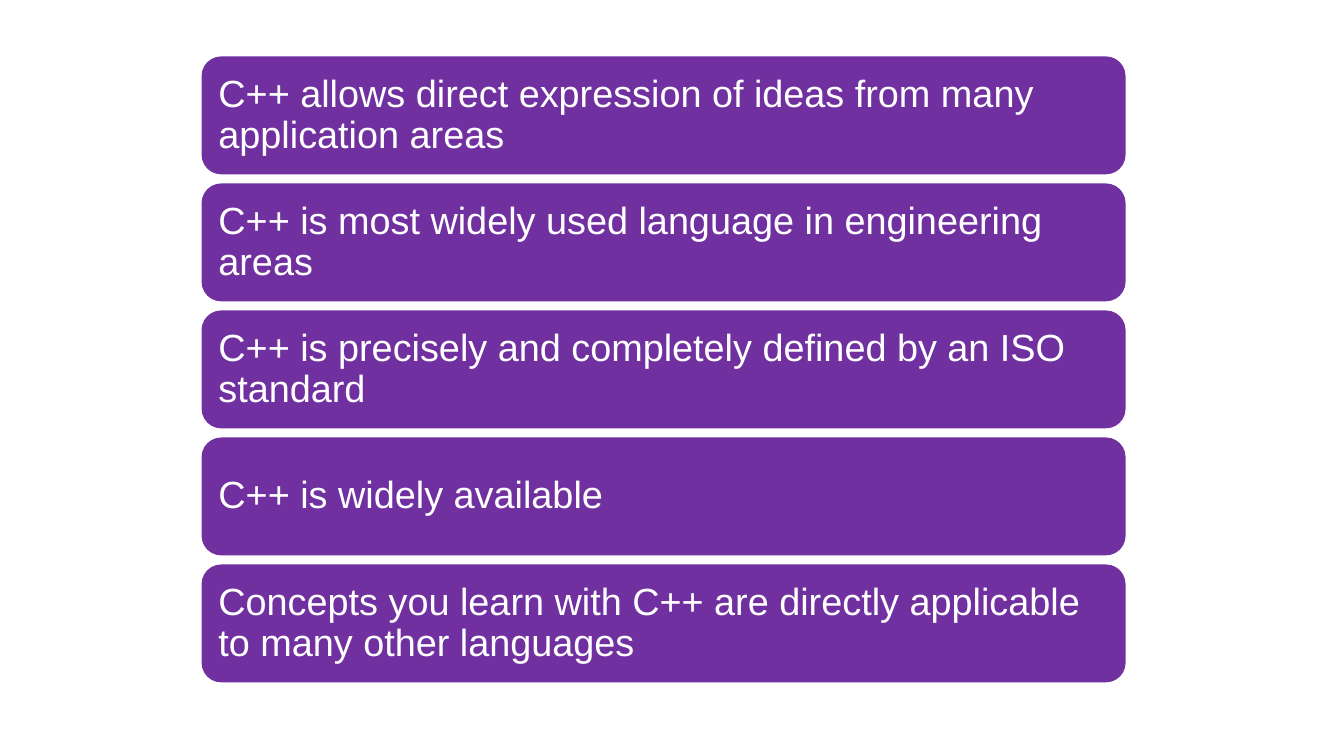
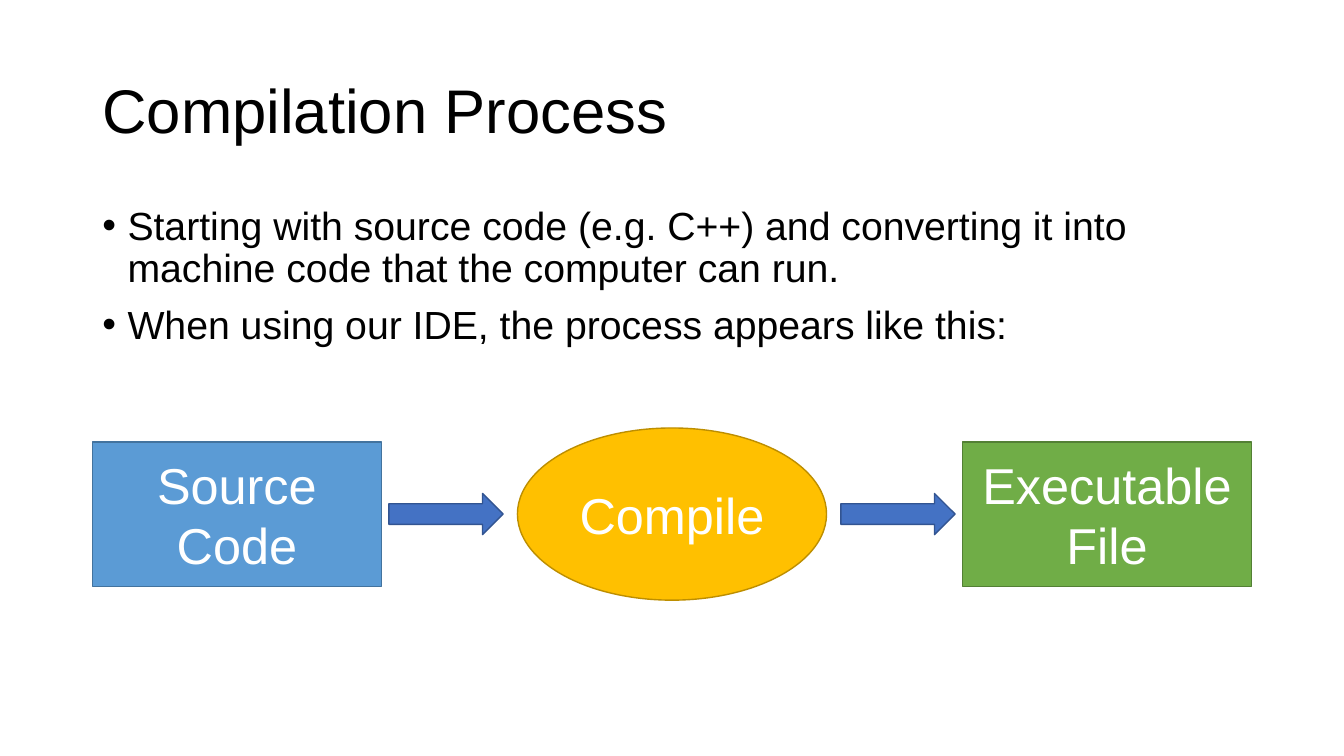
"""Build two slides on why C++ is used and how it is compiled."""
from dataclasses import dataclass

from lxml import etree
from pptx import Presentation
from pptx import util as u
from pptx.dml.color import RGBColor
from pptx.enum import shapes, text
from pptx.oxml.ns import qn

KIND = shapes.MSO_SHAPE
ALIGN = text.PP_ALIGN
ANCHOR = text.MSO_ANCHOR


@dataclass(frozen=True)
class Theme:
    font: str = "Arial"
    ink: str = "000000"
    paper: str = "FFFFFF"
    card: str = "7030A0"
    source: tuple = ("5B9BD5", "43739E")
    compiler: tuple = ("FFC000", "BD8E00")
    result: tuple = ("70AD47", "538035")
    arrow: tuple = ("4472C4", "325491")
    title_size: int = 44
    step_size: int = 36
    body_size: int = 28
    card_size: int = 27
    tight: float = 0.9


class Sketch:
    columns, rows = 160, 90

    def __init__(self, deck, theme):
        self.deck, self.theme = deck, theme
        deck.slide_width, deck.slide_height = u.Inches(13.33), u.Inches(7.5)
        self.page = None

    def new_page(self):
        self.page = self.deck.slides.add_slide(self.deck.slide_layouts[6])

    def place(self, left, top, width, height):
        across = self.deck.slide_width / self.columns
        down = self.deck.slide_height / self.rows
        return [u.Emu(round(cells * step)) for cells, step in
                zip((left, top, width, height), (across, down) * 2)]

    def apply(self, target, **values):
        for name, value in values.items():
            setattr(target, name, value)

    def fill_text(self, box, lines, size, colour, frame, bullet=False, **layout):
        body = box.text_frame
        self.apply(body, word_wrap=True, **frame)
        for index, line in enumerate(lines):
            para = body.add_paragraph() if index else body.paragraphs[0]
            self.apply(para, **layout)
            span = para.add_run()
            span.text = line
            self.apply(span.font, name=self.theme.font, size=u.Pt(size))
            span.font.color.rgb = RGBColor.from_string(colour)
            if bullet:
                self.add_bullet(para)

    def add_bullet(self, para):
        properties = para._p.get_or_add_pPr()
        indent = u.Inches(0.25)
        properties.set("marL", str(indent))
        properties.set("indent", str(-indent))
        etree.SubElement(properties, qn("a:buFont")).set("typeface", self.theme.font)
        etree.SubElement(properties, qn("a:buChar")).set("char", "•")

    def shape(self, kind, area, fill, line=None):
        box = self.page.shapes.add_shape(kind, *self.place(*area))
        box.shadow.inherit = False
        box.fill.solid()
        box.fill.fore_color.rgb = RGBColor.from_string(fill)
        if line:
            box.line.color.rgb = RGBColor.from_string(line)
            box.line.width = u.Pt(1)
        else:
            box.line.fill.background()
        return box

    def text_box(self, area, lines, size, frame, **layout):
        box = self.page.shapes.add_textbox(*self.place(*area))
        self.fill_text(box, lines, size, self.theme.ink, frame,
                       line_spacing=self.theme.tight, **layout)

    def title(self, line):
        self.text_box((11, 4.8, 138, 17.4), [line], self.theme.title_size,
                      {"vertical_anchor": ANCHOR.MIDDLE})

    def bullets(self, lines):
        self.text_box((11, 24, 138, 57.1), lines, self.theme.body_size,
                      {"vertical_anchor": ANCHOR.TOP},
                      bullet=True, space_before=u.Pt(10))

    def cards(self, lines, left=24, top=6.72, width=110, height=14.04, pitch=15.12):
        sides = ("left", "top", "right", "bottom")
        frame = {f"margin_{side}": u.Inches(0.11) for side in sides}
        frame["vertical_anchor"] = ANCHOR.MIDDLE
        for index, line in enumerate(lines):
            area = (left, top + index * pitch, width, height)
            box = self.shape(KIND.ROUNDED_RECTANGLE, area, self.theme.card)
            self.fill_text(box, [line], self.theme.card_size, self.theme.paper, frame,
                           alignment=ALIGN.LEFT, line_spacing=self.theme.tight)

    def step(self, kind, centre, width, height, colours, label=None, middle=61.2):
        area = (centre - width / 2, middle - height / 2, width, height)
        box = self.shape(kind, area, *colours)
        if label:
            self.fill_text(box, [label], self.theme.step_size, self.theme.paper,
                           {"vertical_anchor": ANCHOR.MIDDLE}, alignment=ALIGN.CENTER)


def main():
    theme = Theme()
    deck = Presentation()
    sketch = Sketch(deck, theme)

    sketch.new_page()
    sketch.cards([
        "C++ allows direct expression of ideas from many application areas",
        "C++ is most widely used language in engineering areas",
        "C++ is precisely and completely defined by an ISO standard",
        "C++ is widely available",
        "Concepts you learn with C++ are directly applicable to many other languages",
    ])

    sketch.new_page()
    sketch.title("Compilation Process")
    sketch.bullets([
        "Starting with source code (e.g. C++) and converting it into machine code "
        "that the computer can run.",
        "When using our IDE, the process appears like this:",
    ])
    centre = sketch.columns / 2
    for side, colours, label in ((-1, theme.source, "Source Code"),
                                 (1, theme.result, "Executable File")):
        sketch.step(KIND.RECTANGLE, centre + side * 51.8, 34.4, 17.2, colours, label)
        sketch.step(KIND.RIGHT_ARROW, centre + side * 26.9, 13.6, 4.9, theme.arrow)
    sketch.step(KIND.OVAL, centre, 36.8, 20.5, theme.compiler, "Compile")

    deck.save("out.pptx")


if __name__ == "__main__":
    main()
